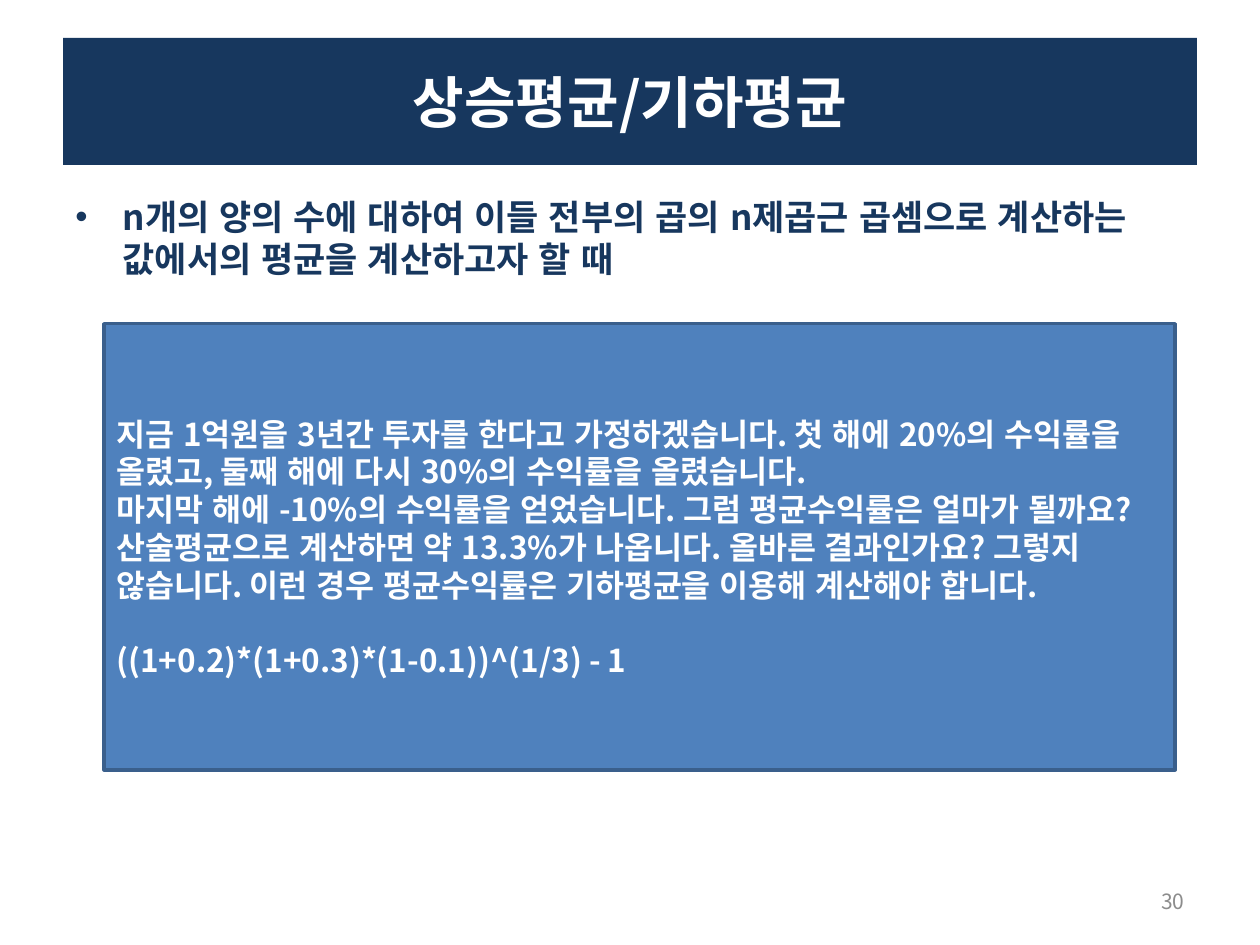
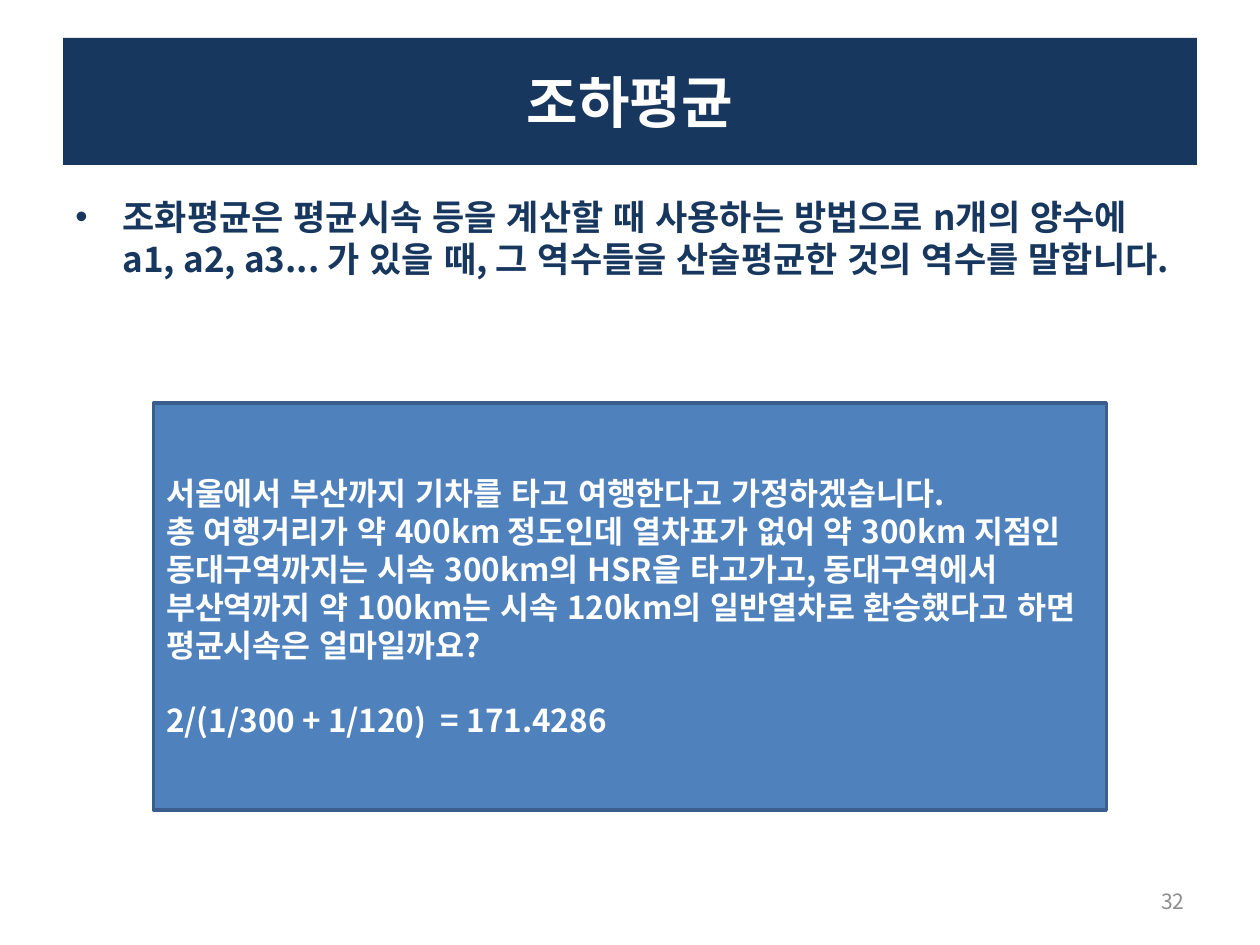
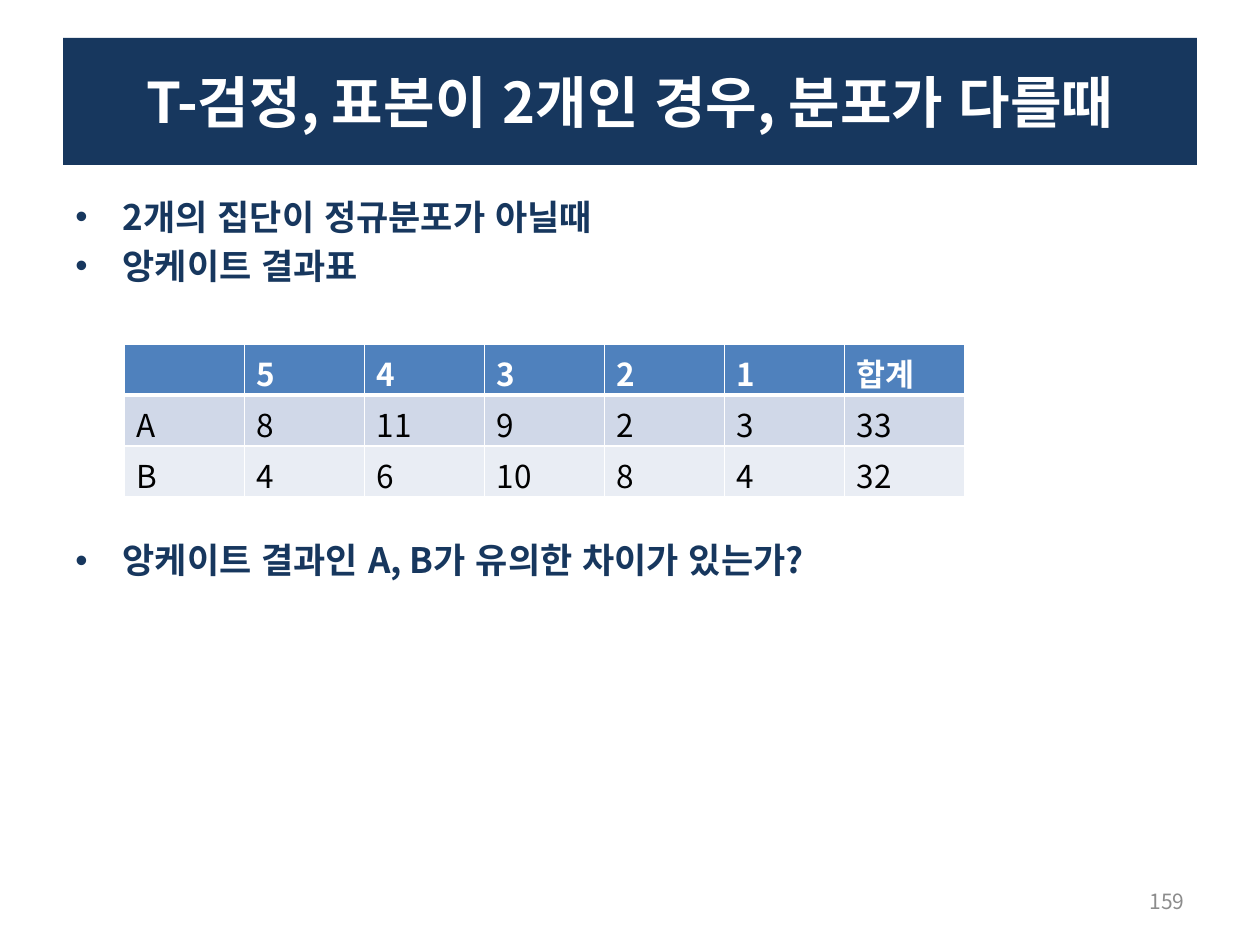
from dataclasses import dataclass

from lxml.etree import SubElement
from pptx import Presentation
from pptx.dml.color import RGBColor
from pptx.enum.lang import MSO_LANGUAGE_ID
from pptx.enum.shapes import MSO_SHAPE
from pptx.enum.text import MSO_ANCHOR, PP_ALIGN
from pptx.oxml.ns import qn
from pptx.slide import Slide
from pptx.util import Pt

FONT = "Noto Sans CJK KR"
HUES = {
    "navy": "17375E",
    "blue": "4F81BD",
    "edge": "3A5F8C",
    "white": "FFFFFF",
    "black": "000000",
    "gray": "8C8C8C",
    "odd": "D0D8E8",
    "even": "E9EDF4",
}


@dataclass
class Area:
    left: float
    top: float
    width: float
    height: float

    def spots(self) -> list:
        return [Pt(v) for v in (self.left, self.top, self.width, self.height)]


@dataclass
class Style:
    size: float
    hue: str
    bold: bool = True


@dataclass
class Line:
    text: str
    gap: float = 0


@dataclass
class Panel:
    area: Area
    lines: list[Line]


@dataclass
class Grid:
    area: Area
    rows: list[list[str]]


@dataclass
class Page:
    title: str
    points: list[Line]
    number: int
    panel: Panel | None = None
    grid: Grid | None = None


HEAD = Area(36, 21.6, 648, 72.6)
BODY = Area(36, 106, 648, 376.5)
FOOT = Area(516, 500.5, 168, 28.8)
HEADING = Style(32, "white")
POINT = Style(20, "navy")
NOTE = Style(18, "white")
DATA = Style(18, "black", False)
NUMBER = Style(12, "gray", False)
INDENT = 27
PITCH = 1.2

PAGES = [
    Page(
        "상승평균/기하평균",
        [Line("n개의 양의 수에 대하여 이들 전부의 곱의 n제곱근 곱셈으로 계산하는 "
              "값에서의 평균을 계산하고자 할 때")],
        30,
        panel=Panel(Area(59.5, 185, 612, 255), [
            Line("지금 1억원을 3년간 투자를 한다고 가정하겠습니다. 첫 해에 20%의 "
                 "수익률을 올렸고, 둘째 해에 다시 30%의 수익률을 올렸습니다."),
            Line("마지막 해에 -10%의 수익률을 얻었습니다. 그럼 평균수익률은 얼마가 될까요?"),
            Line("산술평균으로 계산하면 약 13.3%가 나옵니다. 올바른 결과인가요? 그렇지 "
                 "않습니다. 이런 경우 평균수익률은 기하평균을 이용해 계산해야 합니다."),
            Line("((1+0.2)*(1+0.3)*(1-0.1))^(1/3) - 1", 21.6),
        ]),
    ),
    Page(
        "조하평균",
        [Line("조화평균은 평균시속 등을 계산할 때 사용하는 방법으로 n개의 양수에 "
              "a1, a2, a3... 가 있을 때, 그 역수들을 산술평균한 것의 역수를 말합니다.")],
        32,
        panel=Panel(Area(87.8, 230.4, 544.4, 232.6), [
            Line("서울에서 부산까지 기차를 타고 여행한다고 가정하겠습니다."),
            Line("총 여행거리가 약 400km 정도인데 열차표가 없어 약 300km 지점인 "
                 "동대구역까지는 시속 300km의 HSR을 타고가고, 동대구역에서 "
                 "부산역까지 약 100km는 시속 120km의 일반열차로 환승했다고 "
                 "하면 평균시속은 얼마일까요?"),
            Line("2/(1/300 + 1/120)  = 171.4286", 21.6),
        ]),
    ),
    Page(
        "T-검정, 표본이 2개인 경우, 분포가 다를때",
        [
            Line("2개의 집단이 정규분포가 아닐때"),
            Line("앙케이트 결과표", 4),
            Line("앙케이트 결과인 A, B가 유의한 차이가 있는가?", 144),
        ],
        159,
        grid=Grid(Area(71, 196.5, 480, 87.6), [
            ["", "5", "4", "3", "2", "1", "합계"],
            ["A", "8", "11", "9", "2", "3", "33"],
            ["B", "4", "6", "10", "8", "4", "32"],
        ]),
    ),
]


def tint(name: str) -> RGBColor:
    return RGBColor.from_string(HUES[name])


def paint(item, name: str) -> None:
    item.fill.solid()
    item.fill.fore_color.rgb = tint(name)


def write(para, text: str, style: Style) -> None:
    run = para.add_run()
    run.text = text
    font = run.font
    font.size = Pt(style.size)
    font.bold = style.bold
    font.name = FONT
    font.color.rgb = tint(style.hue)
    font.language_id = MSO_LANGUAGE_ID.KOREAN
    SubElement(run._r.get_or_add_rPr(), qn("a:ea"), typeface=FONT)


def mark(para) -> None:
    props = para._p.get_or_add_pPr()
    props.set("marL", str(Pt(INDENT)))
    props.set("indent", str(-Pt(INDENT)))
    SubElement(props, qn("a:buFont"), typeface="Arial")
    SubElement(props, qn("a:buChar"), char="•")


def fill_text(frame, lines: list[Line], style: Style, dots: bool = False) -> None:
    frame.word_wrap = True
    for i, line in enumerate(lines):
        para = frame.add_paragraph() if i else frame.paragraphs[0]
        para.alignment = PP_ALIGN.LEFT
        para.line_spacing = Pt(style.size * PITCH)
        if line.gap:
            para.space_before = Pt(line.gap)
        if dots:
            mark(para)
        write(para, line.text, style)


def add_title(slide: Slide, text: str) -> None:
    title = slide.shapes.title
    title.left, title.top, title.width, title.height = HEAD.spots()
    paint(title, "navy")
    frame = title.text_frame
    frame.vertical_anchor = MSO_ANCHOR.MIDDLE
    para = frame.paragraphs[0]
    para.alignment = PP_ALIGN.CENTER
    write(para, text, HEADING)


def add_points(slide: Slide, points: list[Line]) -> None:
    frame = slide.shapes.add_textbox(*BODY.spots()).text_frame
    frame.margin_top = Pt(6)
    fill_text(frame, points, POINT, dots=True)


def add_panel(slide: Slide, panel: Panel) -> None:
    box = slide.shapes.add_shape(MSO_SHAPE.RECTANGLE, *panel.area.spots())
    box.shadow.inherit = False
    paint(box, "blue")
    box.line.color.rgb = tint("edge")
    box.line.width = Pt(2)
    box.text_frame.vertical_anchor = MSO_ANCHOR.MIDDLE
    fill_text(box.text_frame, panel.lines, NOTE)


def rule(cell, side: str, width: float) -> None:
    props = cell._tc.get_or_add_tcPr()
    edge = SubElement(props, qn(f"a:ln{side}"), w=str(Pt(width)))
    solid = SubElement(edge, qn("a:solidFill"))
    SubElement(solid, qn("a:srgbClr"), val=HUES["white"])


def add_grid(slide: Slide, grid: Grid) -> None:
    count, span = len(grid.rows), len(grid.rows[0])
    table = slide.shapes.add_table(count, span, *grid.area.spots()).table
    table.horz_banding = False
    for col in table.columns:
        col.width = Pt(grid.area.width / span)
    for r, row in enumerate(grid.rows):
        table.rows[r].height = Pt(grid.area.height / count)
        for c, text in enumerate(row):
            cell = table.cell(r, c)
            for side in "LRTB":
                thick = (r, side) in ((0, "B"), (1, "T"))
                rule(cell, side, 3 if thick else 1)
            paint(cell, ("blue", "odd", "even")[r])
            if text:
                write(cell.text_frame.paragraphs[0], text, DATA if r else NOTE)


def add_foot(slide: Slide, number: int) -> None:
    frame = slide.shapes.add_textbox(*FOOT.spots()).text_frame
    frame.word_wrap = True
    frame.vertical_anchor = MSO_ANCHOR.MIDDLE
    para = frame.paragraphs[0]
    para.alignment = PP_ALIGN.RIGHT
    write(para, str(number), NUMBER)


def main() -> None:
    deck = Presentation()
    deck.slide_width, deck.slide_height = Pt(720), Pt(540)
    for page in PAGES:
        slide = deck.slides.add_slide(deck.slide_layouts[5])
        add_title(slide, page.title)
        add_points(slide, page.points)
        if page.panel:
            add_panel(slide, page.panel)
        if page.grid:
            add_grid(slide, page.grid)
        add_foot(slide, page.number)
    deck.save("out.pptx")


if __name__ == "__main__":
    main()
